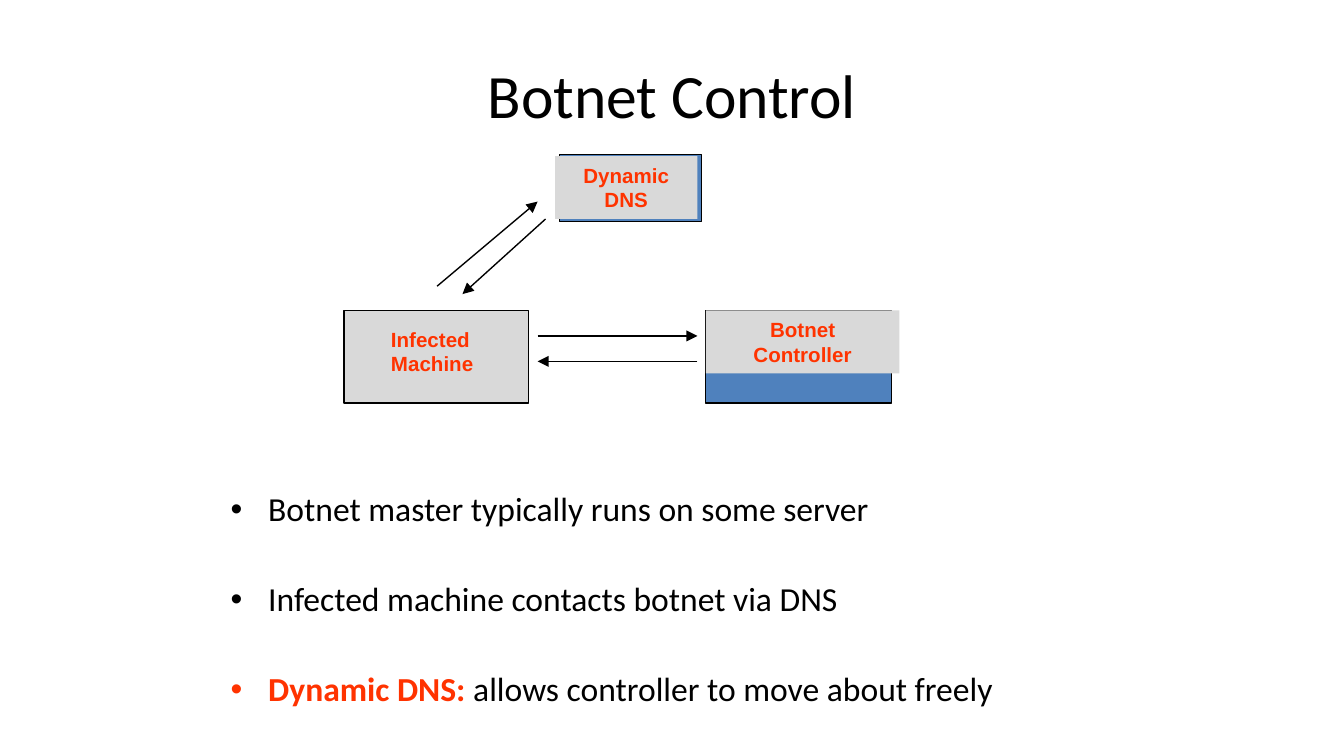
"""Build the Botnet Control slide."""
from dataclasses import dataclass
from typing import Optional

from lxml.etree import SubElement
from pptx import Presentation
from pptx.dml.color import RGBColor
from pptx.enum.shapes import MSO_CONNECTOR as Connector, MSO_SHAPE as Preset
from pptx.enum.text import MSO_ANCHOR as Anchor, PP_ALIGN as Align
from pptx.oxml.ns import qn
from pptx.util import Cm, Pt

BLACK = RGBColor(0x00, 0x00, 0x00)
GREY = RGBColor(0xD9, 0xD9, 0xD9)
BLUE = RGBColor(0x4F, 0x81, 0xBD)
RED = RGBColor(0xFF, 0x33, 0x00)
LINE_WIDTH = Pt(0.74)


@dataclass(frozen=True)
class Area:
    left: float
    top: float
    width: float
    height: float

    def lengths(self):
        return Cm(self.left), Cm(self.top), Cm(self.width), Cm(self.height)


@dataclass(frozen=True)
class Panel:
    area: Area
    fill: RGBColor
    outlined: bool = False


@dataclass(frozen=True)
class Label:
    area: Area
    lines: tuple
    align: Align = Align.CENTER


@dataclass(frozen=True)
class Arrow:
    start: tuple
    end: tuple


@dataclass(frozen=True)
class Bullet:
    text: str
    lead: str = ""
    space_before: float = 28.8


PANELS = (
    Panel(Area(6.5, 5.87, 3.49, 1.75), GREY, True),
    Panel(Area(10.57, 2.92, 2.69, 1.27), BLUE, True),
    Panel(Area(10.49, 2.95, 2.69, 1.19), GREY),
    Panel(Area(13.34, 5.87, 3.51, 1.75), BLUE, True),
    Panel(Area(13.34, 5.87, 3.66, 1.19), GREY),
)
LABELS = (
    Label(Area(7.14, 6.05, 2.69, 1.19), ("Infected Machine",), Align.LEFT),
    Label(PANELS[2].area, ("Dynamic", "DNS")),
    Label(PANELS[4].area, ("Botnet", "Controller")),
)
ARROWS = (
    Arrow((8.26, 5.41), (10.16, 3.81)),
    Arrow((10.31, 4.14), (8.74, 5.56)),
    Arrow((10.16, 6.35), (13.18, 6.35)),
    Arrow((13.18, 6.83), (10.16, 6.83)),
)
BULLETS = (
    Bullet("Botnet master typically runs on some server", space_before=4.5),
    Bullet("Infected machine contacts botnet via DNS"),
    Bullet("allows controller to move about freely", lead="Dynamic DNS: "),
)


def add_text(para, text: str, *, size: float, font: str = "Calibri",
             color: RGBColor = BLACK, bold: bool = False) -> None:
    span = para.add_run()
    span.text = text
    span.font.size = Pt(size)
    span.font.name = font
    span.font.bold = bold
    span.font.color.rgb = color


def add_box(page, area: Area, anchor: Anchor = Anchor.TOP):
    frame = page.shapes.add_textbox(*area.lengths()).text_frame
    frame.word_wrap = True
    frame.vertical_anchor = anchor
    return frame


def draw_panel(page, panel: Panel) -> None:
    box = page.shapes.add_shape(Preset.RECTANGLE, *panel.area.lengths())
    box.shadow.inherit = False
    box.fill.solid()
    box.fill.fore_color.rgb = panel.fill
    if panel.outlined:
        box.line.color.rgb = BLACK
        box.line.width = LINE_WIDTH
    else:
        box.line.fill.background()


def draw_label(page, label: Label) -> None:
    para = add_box(page, label.area).paragraphs[0]
    para.alignment = label.align
    para.space_before = Pt(6.9)
    for index, line in enumerate(label.lines):
        if index:
            para.add_line_break()
        add_text(para, line, size=11, font="Arial", color=RED, bold=True)


def draw_arrow(page, arrow: Arrow) -> None:
    ends = [Cm(value) for value in arrow.start + arrow.end]
    line = page.shapes.add_connector(Connector.STRAIGHT, *ends)
    line.line.color.rgb = BLACK
    line.line.width = LINE_WIDTH
    outline = line.line._get_or_add_ln()
    SubElement(outline, qn("a:tailEnd"), type="triangle")
    SubElement(line._element.spPr, qn("a:effectLst"))


def set_bullet(para, color: RGBColor) -> None:
    properties = para._p.get_or_add_pPr()
    indent = Cm(0.71)
    properties.set("marL", str(indent))
    properties.set("indent", str(-indent))
    tint = SubElement(properties, qn("a:buClr"))
    SubElement(tint, qn("a:srgbClr"), val=str(color))
    SubElement(properties, qn("a:buFont"), typeface="Arial")
    SubElement(properties, qn("a:buChar"), char="•")


def draw_bullets(page, area: Area, bullets: tuple) -> None:
    frame = add_box(page, area)
    para: Optional[object] = None
    for bullet in bullets:
        para = frame.add_paragraph() if para else frame.paragraphs[0]
        para.line_spacing = 0.9
        para.space_before = Pt(bullet.space_before)
        set_bullet(para, RED if bullet.lead else BLACK)
        if bullet.lead:
            add_text(para, bullet.lead, size=18, color=RED, bold=True)
        add_text(para, bullet.text, size=18)


def main() -> None:
    deck = Presentation()
    deck.slide_width, deck.slide_height = Cm(25.4), Cm(14.29)
    page = deck.slides.add_slide(deck.slide_layouts[6])
    title = add_box(page, Area(1.27, 0.58, 22.86, 2.39), Anchor.MIDDLE).paragraphs[0]
    title.alignment = Align.CENTER
    add_text(title, "Botnet Control", size=33)
    draw_bullets(page, Area(4.11, 9.19, 17.15, 4.6), BULLETS)
    for panel in PANELS:
        draw_panel(page, panel)
    for label in LABELS:
        draw_label(page, label)
    for arrow in ARROWS:
        draw_arrow(page, arrow)
    deck.save("out.pptx")


main()
